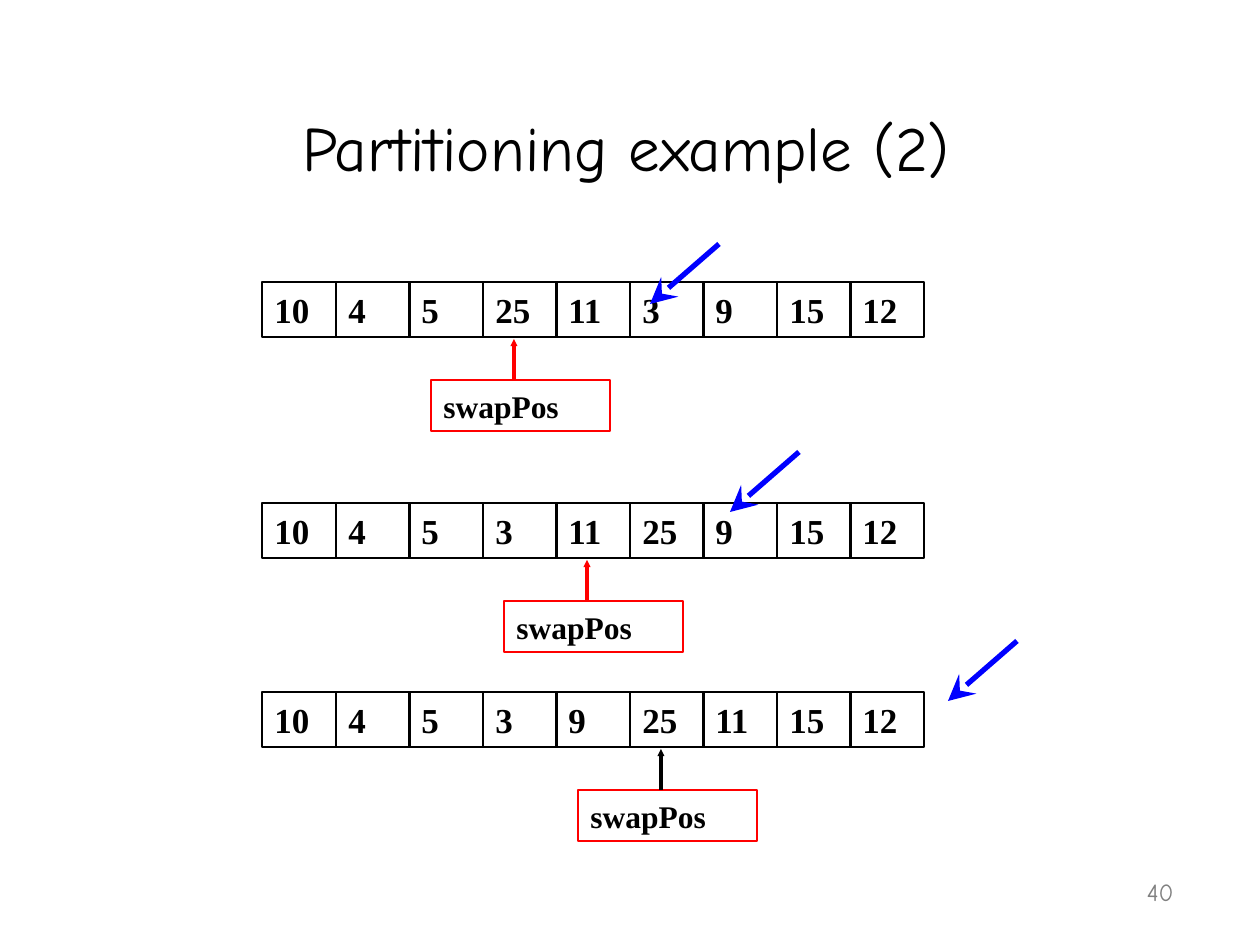
from pptx import Presentation
from pptx.dml.color import RGBColor
from pptx.enum.shapes import MSO_CONNECTOR, MSO_SHAPE
from pptx.enum.text import MSO_ANCHOR, PP_ALIGN
from pptx.oxml.ns import qn
from pptx.util import Emu, Pt
from lxml import etree

EMU_PER_PX = 914400 / 126


def px(length):
    return Emu(round(length * EMU_PER_PX))


def color(hex_string):
    return RGBColor.from_string(hex_string)


class SlideBuilder:
    TITLE_FONT = "Comic Neue"
    BODY_FONT = "Times New Roman"
    BLACK, RED, BLUE, GRAY = "000000", "FF0000", "0000FF", "808080"

    def __init__(self, slide):
        self.slide = slide

    def add_run(self, shape, text, size, font, ink, align, bold=False):
        frame = shape.text_frame
        frame.word_wrap = True
        frame.vertical_anchor = MSO_ANCHOR.BOTTOM
        paragraph = frame.paragraphs[0]
        paragraph.alignment = align
        run = paragraph.add_run()
        run.text = text
        run.font.size = Pt(size)
        run.font.name = font
        run.font.bold = bold
        run.font.color.rgb = color(ink)

    def text(self, left, top, width, height, text, size, ink, align):
        shape = self.slide.shapes.add_textbox(px(left), px(top), px(width), px(height))
        self.add_run(shape, text, size, self.TITLE_FONT, ink, align)

    def box(self, left, top, width, height, text, size, outline):
        shape = self.slide.shapes.add_shape(
            MSO_SHAPE.RECTANGLE, px(left), px(top), px(width), px(height))
        shape.shadow.inherit = False
        shape.fill.background()
        shape.line.color.rgb = color(outline)
        shape.line.width = Pt(1)
        self.add_run(shape, text, size, self.BODY_FONT, self.BLACK, PP_ALIGN.LEFT, bold=True)

    def arrow(self, start, end, ink, weight, head, head_size):
        connector = self.slide.shapes.add_connector(
            MSO_CONNECTOR.STRAIGHT, *map(px, start + end))
        connector.line.color.rgb = color(ink)
        connector.line.width = Pt(weight)
        properties = connector._element.spPr
        etree.SubElement(properties.find(qn("a:ln")), qn("a:tailEnd"),
                         type=head, w=head_size, len=head_size)
        etree.SubElement(properties, qn("a:effectLst"))


# Array values, row top, swapPos index, swapPos arrow colour, start of the scan arrow
ROWS = [
    ([10, 4, 5, 25, 11, 3, 9, 15, 12], 282, 3, SlideBuilder.RED, (719, 244)),
    ([10, 4, 5, 3, 11, 25, 9, 15, 12], 503, 4, SlideBuilder.RED, (799, 452)),
    ([10, 4, 5, 3, 9, 25, 11, 15, 12], 692, 5, SlideBuilder.BLACK, (1017, 641)),
]


def cell_left(index):
    return 262 + (147 * index + 1) // 2


def main():
    presentation = Presentation()
    presentation.slide_width = px(1260)
    presentation.slide_height = px(945)
    slide = presentation.slides.add_slide(presentation.slide_layouts[6])
    builder = SlideBuilder(slide)

    # Slide number and title
    builder.text(924, 850, 262, 63, "40", 14, builder.GRAY, PP_ALIGN.RIGHT)
    builder.text(55, 32, 1142, 158, "Partitioning example (2)", 36,
                 builder.BLACK, PP_ALIGN.CENTER)

    # Array rows, each with its swapPos marker
    for values, top, swap_index, swap_color, _ in ROWS:
        for index, value in enumerate(values):
            builder.box(cell_left(index), top, 74, 55, str(value), 20, builder.BLACK)
        marker_left, marker_top = cell_left(swap_index) - 52, top + 98
        builder.box(marker_left, marker_top, 179, 51, "swapPos", 18, builder.RED)
        arrow_x = marker_left + 83
        builder.arrow((arrow_x, marker_top), (arrow_x, top + 57), swap_color, 2,
                      "triangle", "sm")

    # Scan arrows, in front of the rows
    for *_, (x, y) in ROWS:
        builder.arrow((x, y), (x - 69, y + 60), builder.BLUE, 3, "stealth", "lg")

    presentation.save("out.pptx")


if __name__ == "__main__":
    main()
